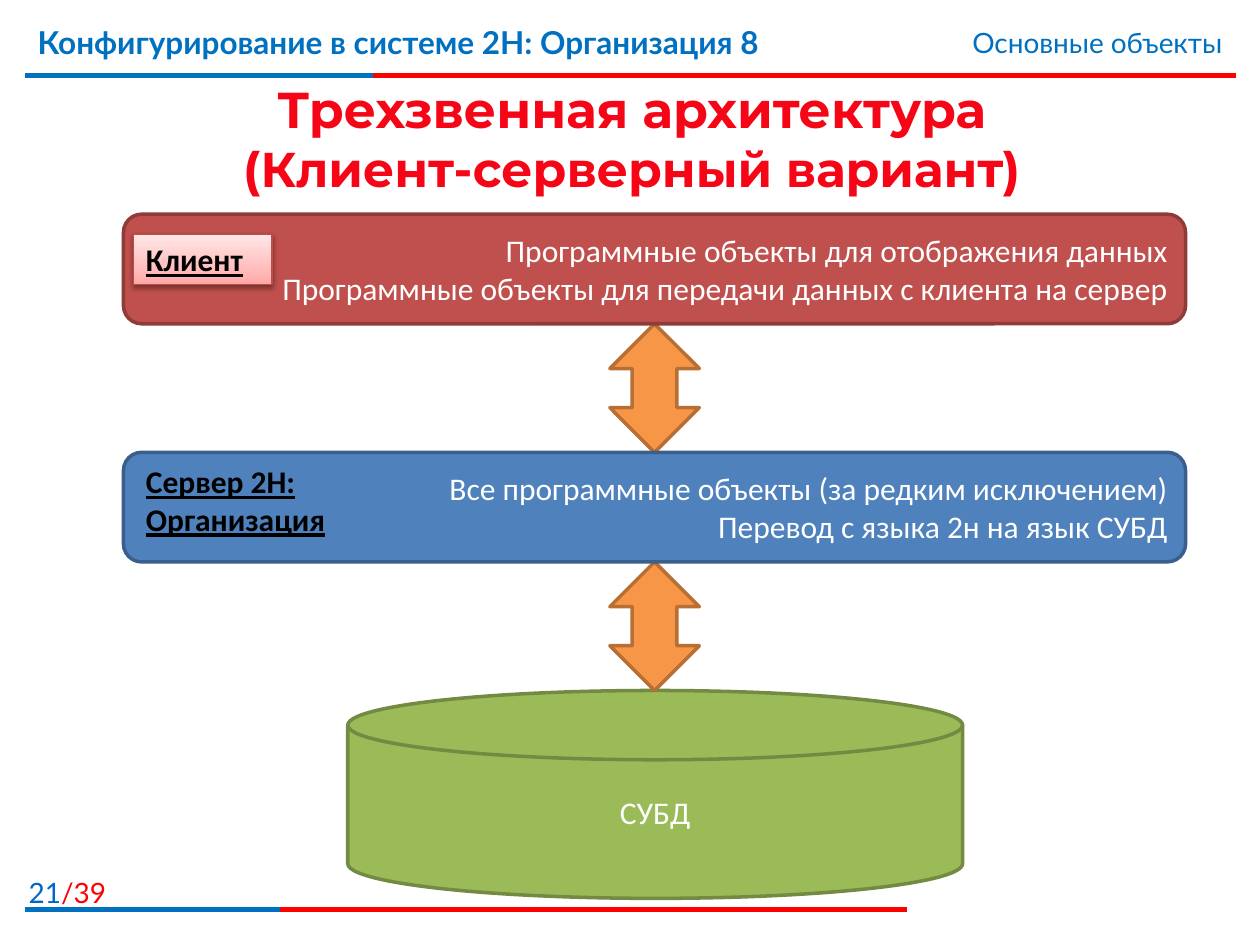
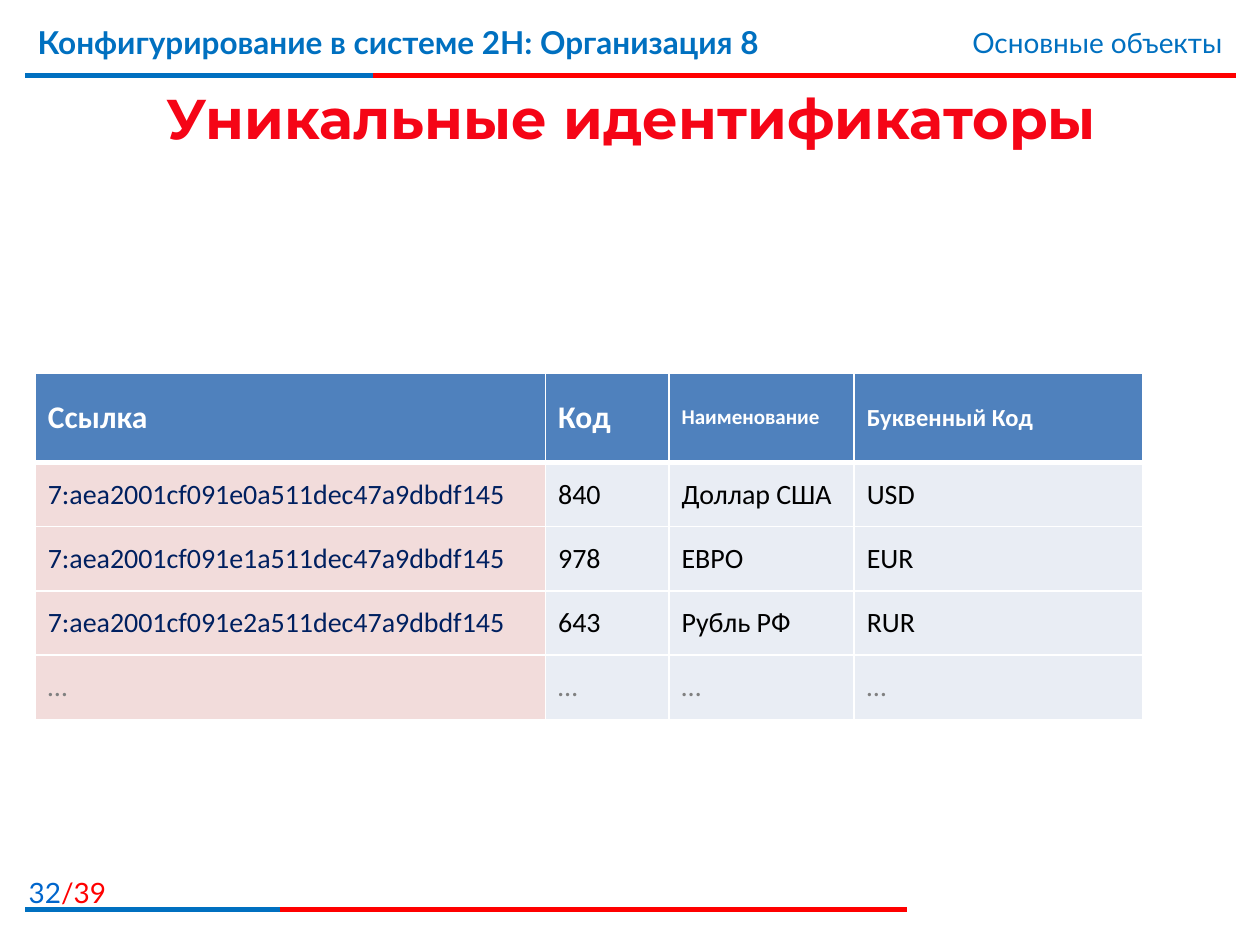
from copy import deepcopy
from lxml.etree import SubElement
from pptx import Presentation
from pptx.dml.color import RGBColor
from pptx.enum.shapes import MSO_CONNECTOR, MSO_SHAPE
from pptx.enum.text import MSO_ANCHOR, PP_ALIGN
from pptx.oxml.ns import qn
from pptx.util import Inches, Pt


class Theme:
    white, black, grey = "FFFFFF", "000000", "808080"
    blue, red, navy, page = "0070C0", "FF0000", "002060", "0066CC"
    title, rose, pale = "F50516", "F2DCDB", "E9EDF4"
    coral, steel = ("C0504D", "8E3B39"), ("4F81BD", "3A5F8C")
    green, orange = ("9BBB59", "738A42"), ("F79646", "B76F34")
    glow, edge = ("FFA6A5", "FFC0BF", "FFE7E7"), "BF4C48"
    head = {"name": "Lato", "size": Pt(18), "bold": True}
    note = {"name": "Lato", "size": Pt(16)}
    top = {"name": "Montserrat", "bold": True}
    body = {"name": "Calibri", "size": Pt(18)}
    label = {**body, "bold": True, "underline": True}
    cell = {**body, "size": Pt(16), "bold": False}


def write(frame, lines, align=PP_ALIGN.LEFT, anchor=MSO_ANCHOR.TOP):
    frame.word_wrap = True
    frame.vertical_anchor = anchor
    for i, runs in enumerate(lines):
        para = frame.paragraphs[0] if i == 0 else frame.add_paragraph()
        para.alignment = align
        for text, tint, style in runs:
            if text == "\n":
                para.add_line_break()
                continue
            run = para.add_run()
            run.text = text
            run.font.color.rgb = RGBColor.from_string(tint)
            for key, value in style.items():
                setattr(run.font, key, value)


def draw(slide, kind, box, tints, width=2):
    shape = slide.shapes.add_shape(kind, *map(Inches, box))
    shape.shadow.inherit = False
    shape.fill.solid()
    shape.fill.fore_color.rgb = RGBColor.from_string(tints[0])
    shape.line.color.rgb = RGBColor.from_string(tints[1])
    shape.line.width = Pt(width)
    return shape


deck = Presentation()
deck.slide_width, deck.slide_height = Inches(10), Inches(7.5)

pages = [
    ("21", 0.92, [("Трехзвенная архитектура", 28.8), ("\n", 28.8),
                  ("(Клиент-серверный вариант)", 27.9)]),
    ("32", 0.6, [("Уникальные идентификаторы", 32)]),
]
rules = [(0.6, 9.81, Theme.red), (0.6, 2.96, Theme.blue),
         (7.22, 7.2, Theme.red), (7.22, 2.22, Theme.blue)]

for num, high, parts in pages:
    slide = deck.slides.add_slide(deck.slide_layouts[6])
    for y, end, tint in rules:
        rule = slide.shapes.add_connector(
            MSO_CONNECTOR.STRAIGHT, Inches(0.2), Inches(y), Inches(end), Inches(y))
        rule.line.color.rgb = RGBColor.from_string(tint)
        rule.line.width = Pt(3)
        SubElement(rule._element.spPr, qn("a:effectLst"))
    texts = [
        ((-0.1, 6.9, 1.04, 0.32), PP_ALIGN.RIGHT, MSO_ANCHOR.TOP,
         [(num, Theme.page, Theme.note), ("/39", Theme.red, Theme.note)]),
        ((0.2, 0.13, 7.4, 0.62), PP_ALIGN.LEFT, MSO_ANCHOR.TOP,
         [("Конфигурирование в системе 2Н: Организация 8", Theme.blue, Theme.head)]),
        ((5.94, 0.15, 3.86, 0.37), PP_ALIGN.RIGHT, MSO_ANCHOR.TOP,
         [("Основные объекты", Theme.blue, Theme.note)]),
        ((0.21, 0.63, 9.61, high), PP_ALIGN.CENTER, MSO_ANCHOR.MIDDLE,
         [(text, Theme.title, {**Theme.top, "size": Pt(size)}) for text, size in parts]),
    ]
    for box, align, anchor, runs in texts:
        area = slide.shapes.add_textbox(*map(Inches, box))
        write(area.text_frame, [runs], align, anchor)

first, second = deck.slides

start, step, tall = 1.7, 1.89, 0.87
disk = draw(first, MSO_SHAPE.FLOWCHART_MAGNETIC_DISK,
            (2.76, start + 2 * step, 4.88, 1.65), Theme.green)
write(disk.text_frame, [[("СУБД", Theme.white, Theme.body)]],
      PP_ALIGN.CENTER, MSO_ANCHOR.MIDDLE)

tiers = [
    (Theme.coral, ["Программные объекты для отображения данных",
                   "Программные объекты для передачи данных с клиента на сервер"]),
    (Theme.steel, ["Все программные объекты (за редким исключением)",
                   "Перевод с языка 2н на язык СУБД"]),
]
for i, (tints, lines) in enumerate(tiers):
    y = start + i * step
    draw(first, MSO_SHAPE.UP_DOWN_ARROW, (4.84, y + tall, 0.71, step - tall), Theme.orange)
    tier = draw(first, MSO_SHAPE.ROUNDED_RECTANGLE, (0.98, y, 8.43, tall), tints)
    write(tier.text_frame, [[(line, Theme.white, Theme.body)] for line in lines],
          PP_ALIGN.RIGHT, MSO_ANCHOR.MIDDLE)

client = draw(first, MSO_SHAPE.RECTANGLE, (1.06, 1.86, 1.1, 0.4),
              (Theme.glow[0], Theme.edge), 0.75)
client.fill.gradient()
client.fill.gradient_angle = 90
stops = client.fill._fill._gradFill.find(qn("a:gsLst"))
stops.insert(1, deepcopy(stops[0]))
for stop, tint, place in zip(client.fill.gradient_stops, Theme.glow, (0, 0.35, 1)):
    stop.color.rgb = RGBColor.from_string(tint)
    stop.position = place
effect = client._element.spPr.find(qn("a:effectLst"))
shade = SubElement(effect, qn("a:outerShdw"), blurRad=str(Pt(3.1)), dist=str(Pt(1.6)),
                   dir="5400000", rotWithShape="0")
ink = SubElement(shade, qn("a:srgbClr"), val=Theme.black)
SubElement(ink, qn("a:alpha"), val="38000")
write(client.text_frame, [[("Клиент", Theme.black, Theme.label)]])

server = first.shapes.add_textbox(*map(Inches, (1.06, 3.62, 1.96, 0.71)))
write(server.text_frame, [[("Сервер 2Н: Организация", Theme.black, Theme.label)]])

heads = [("Ссылка", 18), ("Код", 18), ("Наименование", 12), ("Буквенный Код", 14)]
rows = [
    [text for text, size in heads],
    ["7:aea2001cf091e0a511dec47a9dbdf145", "840", "Доллар США", "USD"],
    ["7:aea2001cf091e1a511dec47a9dbdf145", "978", "ЕВРО", "EUR"],
    ["7:aea2001cf091e2a511dec47a9dbdf145", "643", "Рубль РФ", "RUR"],
    ["…"] * 4,
]
grid = second.shapes.add_table(5, 4, *map(Inches, (0.28, 2.96, 8.79, 2.75))).table
grid.horz_banding = False
for col, wide in zip(grid.columns, (4.05, 0.98, 1.47, 2.29)):
    col.width = Inches(wide)
for r, row in enumerate(rows):
    grid.rows[r].height = Inches(0.51 if r else 0.71)
    for c, text in enumerate(row):
        cell = grid.cell(r, c)
        props = cell._tc.get_or_add_tcPr()
        for side in "LRTB":
            thick = 3 if (r, side) in ((0, "B"), (1, "T")) else 1
            edge = SubElement(props, qn("a:ln" + side), w=str(Pt(thick)))
            fill = SubElement(edge, qn("a:solidFill"))
            SubElement(fill, qn("a:srgbClr"), val=Theme.white)
        if r == 0:
            back, tint = Theme.steel[0], Theme.white
            style = {**Theme.cell, "size": Pt(heads[c][1]), "bold": True}
        else:
            back = Theme.pale if c else Theme.rose
            tint = Theme.grey if text == "…" else Theme.black if c else Theme.navy
            style = Theme.cell
        cell.fill.solid()
        cell.fill.fore_color.rgb = RGBColor.from_string(back)
        cell.vertical_anchor = MSO_ANCHOR.MIDDLE
        write(cell.text_frame, [[(text, tint, style)]])

deck.save("out.pptx")
